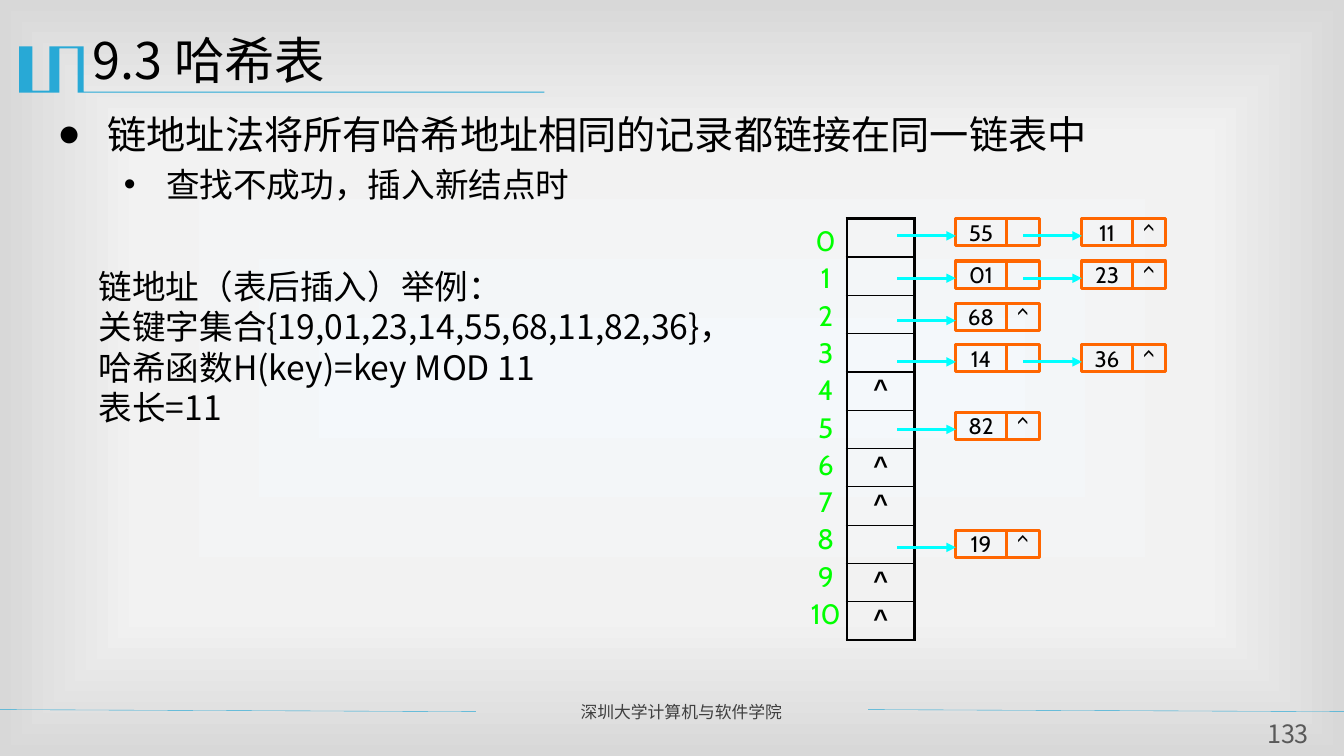
from lxml import etree
from pptx import Presentation
from pptx import util as u
from pptx.dml.color import RGBColor
from pptx.enum import shapes, text
from pptx.oxml import parse_xml
from pptx.oxml.ns import nsdecls, qn

PX = 9144  # 100 px to the inch
INK = {"black": "000000", "blue": "28A9D6", "gray": "3F3F3F", "page": "595959",
       "green": "00FF00", "orange": "FF6600", "cyan": "00FFFF"}
HAN = "Noto Sans CJK SC"
MID = text.PP_ALIGN.CENTER


def write(para, words, size, ink="black", face=HAN, bold=False):
    run = para.add_run()
    run.text = words
    font = run.font
    font.size, font.name, font.bold = u.Pt(size), face, bold
    font.color.rgb = RGBColor.from_string(INK[ink])
    etree.SubElement(run._r.get_or_add_rPr(), qn("a:ea")).set("typeface", face)


def draw(x1, y1, x2, y2, ink, width, head=False):
    line = slide.shapes.add_connector(
        shapes.MSO_CONNECTOR.STRAIGHT, x1 * PX, y1 * PX, x2 * PX, y2 * PX)
    line.line.color.rgb = RGBColor.from_string(INK[ink])
    line.line.width = u.Pt(width)
    if head:
        etree.SubElement(line.line._get_or_add_ln(), qn("a:tailEnd")).set("type", "triangle")
    etree.SubElement(line._element.spPr, qn("a:effectLst"))


deck = Presentation()
deck.slide_width, deck.slide_height = 1333 * PX, 750 * PX
slide = deck.slides.add_slide(deck.slide_layouts[5])

# Background gradient
stops = "".join(f'<a:gs pos="{pos}000"><a:srgbClr val="{hue}"/></a:gs>'
                for pos, hue in ((0, "F4F8FB"), (63, "F2F2F2"), (100, "D8D8D8")))
slide._element.cSld.insert(0, parse_xml(
    f'<p:bg {nsdecls("p", "a")}><p:bgPr><a:gradFill rotWithShape="1">'
    f'<a:gsLst>{stops}</a:gsLst><a:path path="rect">'
    '<a:fillToRect l="50000" t="50000" r="50000" b="50000"/></a:path>'
    '</a:gradFill><a:effectLst/></p:bgPr></p:bg>'))

# Title ornament and footer rules
edge = [(83, 46), (83, 91), (540, 91), (540, 92), (77, 92), (77, 48), (59, 48),
        (59, 92), (19, 92), (19, 46), (32, 46), (32, 90), (49, 90), (49, 46)]
path = slide.shapes.build_freeform(*edge[0], scale=PX)
path.add_line_segments(edge[1:])
mark = path.convert_to_shape()
mark.shadow.inherit = False
mark.fill.solid()
mark.fill.fore_color.rgb = RGBColor.from_string(INK["blue"])
mark.line.fill.background()
for left, right in ((0, 472), (861, 1333)):
    draw(left, 704, right, 706, "blue", 0.25)

# Title
title = slide.shapes.title
title.left, title.top, title.width, title.height = 82 * PX, 24 * PX, 1200 * PX, 87 * PX
title.text_frame.vertical_anchor = text.MSO_ANCHOR.TOP
title.text_frame.paragraphs[0].alignment = text.PP_ALIGN.LEFT
write(title.text_frame.paragraphs[0], "9.3 哈希表", 36)

# Text boxes: place, lines, size, ink, face, alignment, indent, space before
LEFT = text.PP_ALIGN.LEFT
notes = [
    ((566, 691, 285, 30), ["深圳大学计算机与软件学院"], 12, "gray", HAN,
     text.PP_ALIGN.JUSTIFY, 0, 0),
    ((1248, 713, 59, 31), ["133"], 18, "page", HAN, MID, 0, 0),
    ((21, 259, 747, 274),
     ["链地址（表后插入）举例：", "关键字集合{19,01,23,14,55,68,11,82,36}，",
      "哈希函数H(key)=key MOD 11", "表长=11"], 24, "black", HAN, LEFT, 67, 0),
    ((790, 217, 58, 424), [str(n) for n in range(11)], 20, "green", "Cabin", MID, 0, 2.6),
]
for place, lines, size, ink, face, align, dent, gap in notes:
    frame = slide.shapes.add_textbox(*(n * PX for n in place)).text_frame
    frame.word_wrap = True
    if lines == ["133"]:
        frame.margin_left = frame.margin_right = frame.margin_top = frame.margin_bottom = 0
    for row, words in enumerate(lines):
        para = frame.add_paragraph() if row else frame.paragraphs[0]
        para.alignment = align
        para._p.get_or_add_pPr().set("marL", str(dent * PX))
        para.space_before = u.Pt(gap if row else 0)
        write(para, words, size, ink, face)

# Bulleted statement
frame = slide.shapes.add_textbox(47 * PX, 104 * PX, 1213 * PX, 155 * PX).text_frame
frame.word_wrap = True
points = [("链地址法将所有哈希地址相同的记录都链接在同一链表中", 28, "●", 50, 50),
          ("查找不成功，插入新结点时", 24, "•", 108, 42)]
for row, (words, size, dot, dent, hang) in enumerate(points):
    para = frame.add_paragraph() if row else frame.paragraphs[0]
    para.level = row
    props = para._p.get_or_add_pPr()
    props.set("marL", str(dent * PX))
    props.set("indent", str(-hang * PX))
    etree.SubElement(props, qn("a:buFont")).set("typeface", "Arial")
    etree.SubElement(props, qn("a:buChar")).set("char", dot)
    para.space_before = u.Pt(4.8 if row else 0)
    write(para, words, size)

# Hash table slots
chains = {0: (217, ["55", "11"]), 1: (259, ["01", "23"]), 2: (301, ["68"]),
          3: (342, ["14", "36"]), 5: (409, ["82"]), 8: (526, ["19"])}
grid = slide.shapes.add_table(11, 1, 840 * PX, 217 * PX, 67 * PX, 418 * PX).table
grid.first_row = grid.horz_banding = False
for row in range(11):
    grid.rows[row].height = 38 * PX
    cell = grid.cell(row, 0)
    cell.margin_top = cell.margin_bottom = 0
    para = cell.text_frame.paragraphs[0]
    para.alignment, para.line_spacing = MID, 1.1
    if row not in chains:
        write(para, "^", 18, face="Arial", bold=True)
    props = cell._tc.get_or_add_tcPr()
    for side, width in (("L", 2.25), ("R", 2.25), ("T", 1 if row else 2.25),
                        ("B", 1 if row < 10 else 2.25)):
        props.append(parse_xml(
            f'<a:ln{side} {nsdecls("a")} w="{u.Pt(width)}"><a:solidFill>'
            f'<a:srgbClr val="{INK["black"]}"/></a:solidFill></a:ln{side}>'))
    cell.fill.background()

# Linked nodes, each with a key cell, a pointer cell and an incoming arrow
for top, keys in chains.values():
    for step, key in enumerate(keys):
        left = 948 + 125 * step
        end = "^" if key == keys[-1] else ""
        for x, wide, words in ((left, 50, key), (left + 50, 33, end)):
            node = slide.shapes.add_shape(
                shapes.MSO_SHAPE.RECTANGLE, x * PX, top * PX, wide * PX, 27 * PX)
            node.shadow.inherit = False
            node.fill.background()
            node.line.color.rgb = RGBColor.from_string(INK["orange"])
            node.line.width = u.Pt(2.25)
            frame = node.text_frame
            frame.margin_left = frame.margin_right = frame.margin_top = frame.margin_bottom = 0
            if words:
                frame.paragraphs[0].alignment = MID
                write(frame.paragraphs[0], words, 16, face="Cabin")
        draw(left - 58, top + 17, left, top + 17, "cyan", 2.25, head=True)

deck.save("out.pptx")
